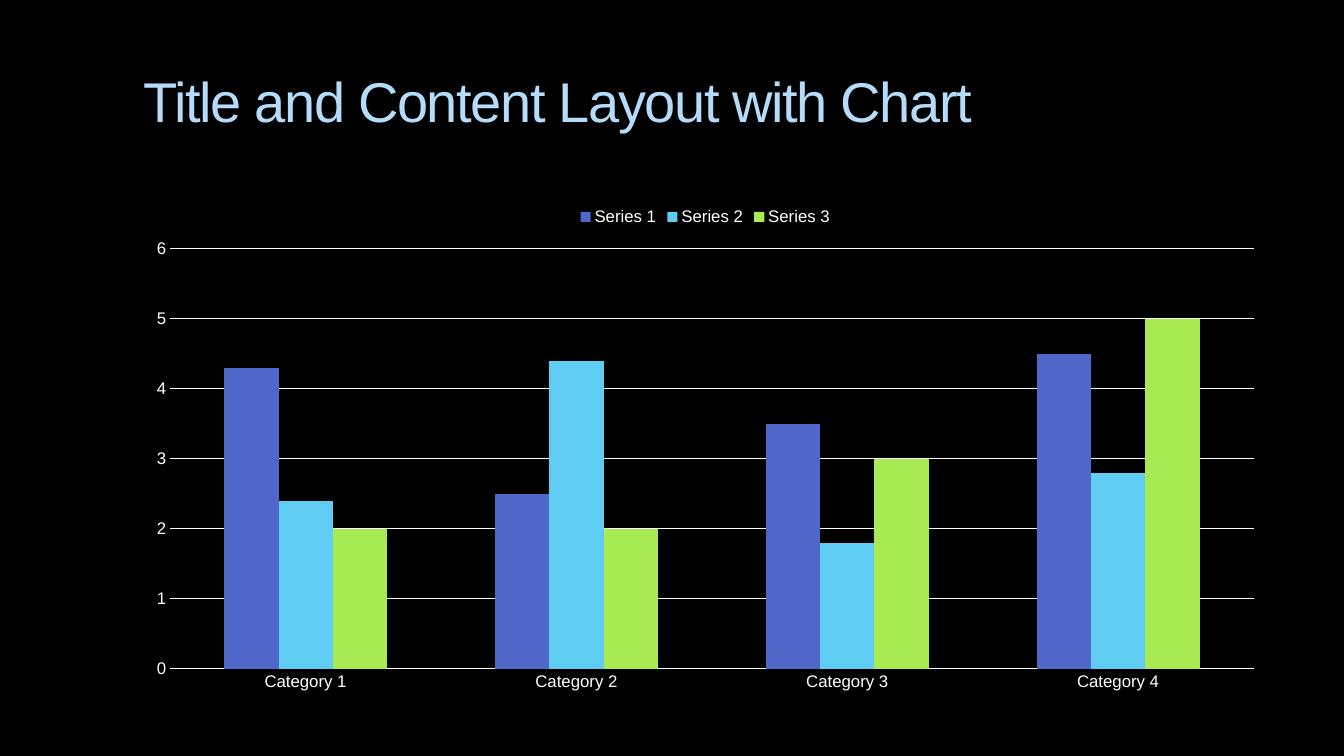
import pptx
import pptx.chart.data
import pptx.dml.color
import pptx.enum.chart
import pptx.enum.text
import pptx.util
from dataclasses import dataclass

Inches = pptx.util.Inches
Pt = pptx.util.Pt
RGB = pptx.dml.color.RGBColor.from_string


@dataclass
class Theme:
    font: str = "Arial"
    back: str = "000000"
    text: str = "FFFFFF"
    title: str = "B4DCFA"
    bars: tuple = ("4E67C8", "5ECCF3", "A7EA52")
    big: int = 40
    small: int = 12
    line: float = 0.75


theme = Theme()


def style(font, size, color):
    font.name = theme.font
    font.size = Pt(size)
    font.color.rgb = RGB(color)


def rule(line):
    """Draw a thin line in the text colour."""
    line.color.rgb = RGB(theme.text)
    line.width = Pt(theme.line)


deck = pptx.Presentation()
deck.slide_width = Inches(13.33)
deck.slide_height = Inches(7.5)
slide = deck.slides.add_slide(deck.slide_layouts[6])
slide.background.fill.solid()
slide.background.fill.fore_color.rgb = RGB(theme.back)

left, width = Inches(1.33), Inches(11.33)

# Title
box = slide.shapes.add_textbox(left, Inches(0.56), width, Inches(1))
frame = box.text_frame
frame.word_wrap = True
frame.vertical_anchor = pptx.enum.text.MSO_ANCHOR.MIDDLE
frame.text = "Title and Content Layout with Chart"
para = frame.paragraphs[0]
para.line_spacing = 0.8
run = para.runs[0]
style(run.font, theme.big, theme.title)
run.font._element.set("spc", "-100")

# Chart
data = pptx.chart.data.CategoryChartData()
data.categories = [f"Category {n}" for n in range(1, 5)]
data.add_series("Series 1", (4.3, 2.5, 3.5, 4.5))
data.add_series("Series 2", (2.4, 4.4, 1.8, 2.8))
data.add_series("Series 3", (2, 2, 3, 5))
kind = pptx.enum.chart.XL_CHART_TYPE.COLUMN_CLUSTERED
chart = slide.shapes.add_chart(
    kind, left, Inches(1.95), width, Inches(5), data).chart
chart.has_title = False
style(chart.font, theme.small, theme.text)

chart.has_legend = True
chart.legend.position = pptx.enum.chart.XL_LEGEND_POSITION.TOP
chart.legend.include_in_layout = False
style(chart.legend.font, theme.small, theme.text)

plot = chart.plots[0]
plot.vary_by_categories = False
plot.gap_width = 199
plot.overlap = 0
for series, color in zip(plot.series, theme.bars):
    series.format.fill.solid()
    series.format.fill.fore_color.rgb = RGB(color)

# Axes
for axis in (chart.category_axis, chart.value_axis):
    axis.major_tick_mark = pptx.enum.chart.XL_TICK_MARK.NONE
    axis.minor_tick_mark = pptx.enum.chart.XL_TICK_MARK.NONE
    style(axis.tick_labels.font, theme.small, theme.text)
rule(chart.category_axis.format.line)

scale = chart.value_axis
scale.minimum_scale = 0
scale.maximum_scale = 6
scale.major_unit = 1
scale.format.line.fill.background()
scale.has_major_gridlines = True
rule(scale.major_gridlines.format.line)

deck.save("out.pptx")
